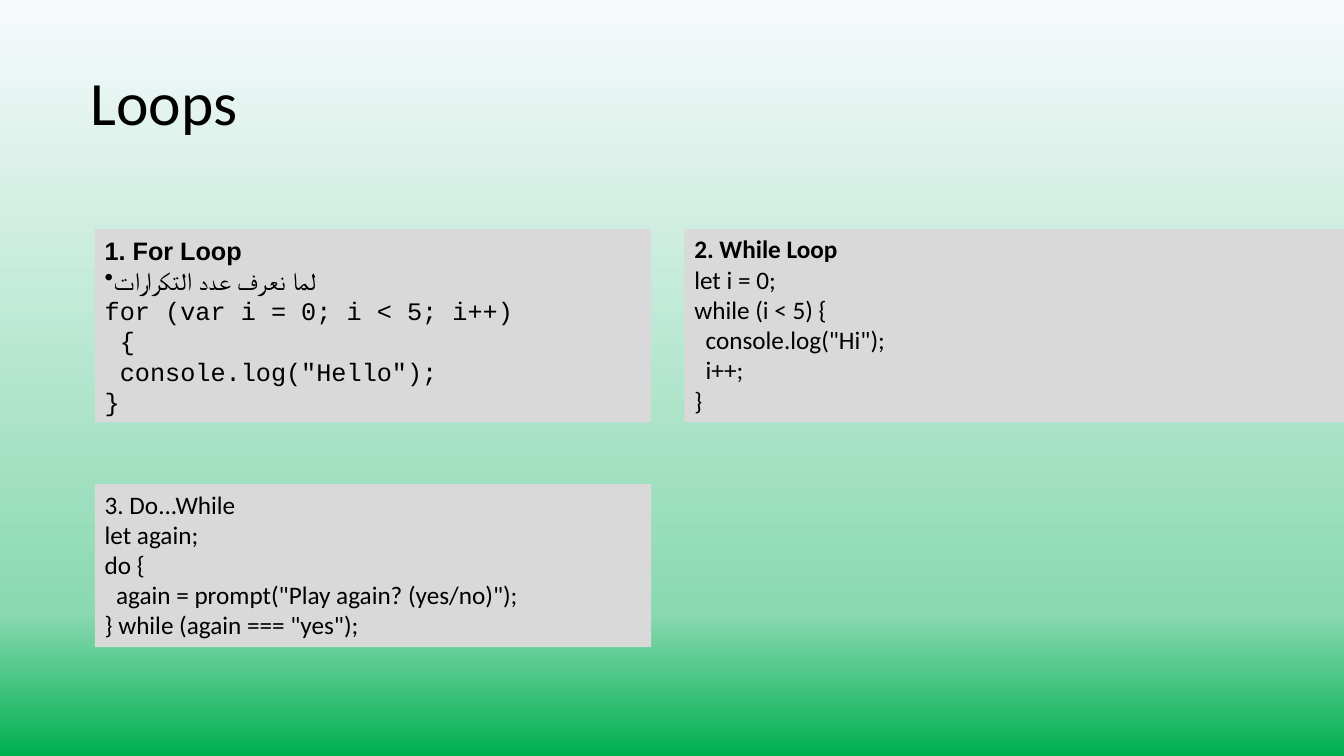
import copy
from dataclasses import dataclass

import pptx
import pptx.dml.color
import pptx.enum.shapes
import pptx.enum.text
import pptx.oxml.ns
import pptx.util
from lxml import etree

Pt = pptx.util.Pt


@dataclass(frozen=True)
class Theme:
    text: str = "000000"
    panel: str = "D9D9D9"
    backdrop: tuple = ((0, "F7FAFD"), (0.81, "8AD9B1"), (1, "00B050"))
    sans: str = "Calibri"
    heading: str = "Arial"
    code: str = "Courier New"
    title_size: int = 44
    body_size: int = 18


THEME = Theme()

# Panel positions
LEFT, RIGHT = 67.68, 488.88
TOP, BOTTOM = 163.44, 345.6
NARROW, WIDE = 397.44, 480.24
TALL, SHORT = 138.24, 116.64

# Panel contents: one (text, font) pair a line
FOR_LOOP = [
    ("1. For Loop", THEME.heading),
    ("لما نعرف عدد التكرارات", THEME.heading),
    ("for (var i = 0; i < 5; i++)", THEME.code),
    (" {", THEME.code),
    (' console.log("Hello");', THEME.code),
    ("}", THEME.code),
]
WHILE_LOOP = [(line, THEME.sans) for line in (
    "2. While Loop",
    "let i = 0;",
    "while (i < 5) {",
    '  console.log("Hi");',
    "  i++;",
    "}",
)]
DO_WHILE = [(line, THEME.sans) for line in (
    "3. Do...While",
    "let again;",
    "do {",
    '  again = prompt("Play again? (yes/no)");',
    '} while (again === "yes");',
)]


def color(value):
    return pptx.dml.color.RGBColor.from_string(value)


def paint_background(page):
    fill = page.background.fill
    fill.gradient()
    fill.gradient_angle = 270
    # A new gradient has two stops; add the third
    first = page.element.find(".//" + pptx.oxml.ns.qn("a:gs"))
    first.addnext(copy.deepcopy(first))
    stops = fill.gradient_stops
    for stop, (position, value) in zip(stops, THEME.backdrop):
        stop.position = position
        stop.color.rgb = color(value)


def write_line(para, text, font, size, bold=False):
    para.text = text
    para.alignment = pptx.enum.text.PP_ALIGN.LEFT
    for span in para.runs:
        span.font.name = font
        span.font.size = Pt(size)
        span.font.bold = bold
        span.font.color.rgb = color(THEME.text)


def add_bullet(para):
    properties = para._p.get_or_add_pPr()
    bullet = etree.SubElement(properties, pptx.oxml.ns.qn("a:buChar"))
    bullet.set("char", "•")


def add_title(page, text):
    box = page.shapes.add_textbox(Pt(57.6), Pt(23.04), Pt(828), Pt(104.4))
    frame = box.text_frame
    frame.word_wrap = True
    frame.vertical_anchor = pptx.enum.text.MSO_ANCHOR.MIDDLE
    para = frame.paragraphs[0]
    para.line_spacing = 0.9
    write_line(para, text, THEME.sans, THEME.title_size)


def add_panel(page, left, top, width, height, lines, bold_heading=True,
              anchor=pptx.enum.text.MSO_ANCHOR.TOP):
    box = page.shapes.add_shape(pptx.enum.shapes.MSO_SHAPE.RECTANGLE,
                                Pt(left), Pt(top), Pt(width), Pt(height))
    box.shadow.inherit = False
    box.fill.solid()
    box.fill.fore_color.rgb = color(THEME.panel)
    box.line.fill.background()
    frame = box.text_frame
    frame.word_wrap = True
    frame.auto_size = pptx.enum.text.MSO_AUTO_SIZE.SHAPE_TO_FIT_TEXT
    frame.vertical_anchor = anchor
    for index, (text, font) in enumerate(lines):
        para = frame.add_paragraph() if index else frame.paragraphs[0]
        write_line(para, text, font, THEME.body_size,
                   bold=bold_heading and index == 0)
    return frame


def main():
    deck = pptx.Presentation()
    deck.slide_width, deck.slide_height = Pt(960), Pt(540)
    page = deck.slides.add_slide(deck.slide_layouts[6])

    # Background and title
    paint_background(page)
    add_title(page, "Loops")

    # One panel for each kind of loop
    for_frame = add_panel(page, LEFT, TOP, NARROW, TALL, FOR_LOOP,
                          anchor=pptx.enum.text.MSO_ANCHOR.MIDDLE)
    add_bullet(for_frame.paragraphs[1])
    add_panel(page, RIGHT, TOP, WIDE, TALL, WHILE_LOOP)
    add_panel(page, LEFT, BOTTOM, NARROW, SHORT, DO_WHILE, bold_heading=False)

    deck.save("out.pptx")


if __name__ == "__main__":
    main()
